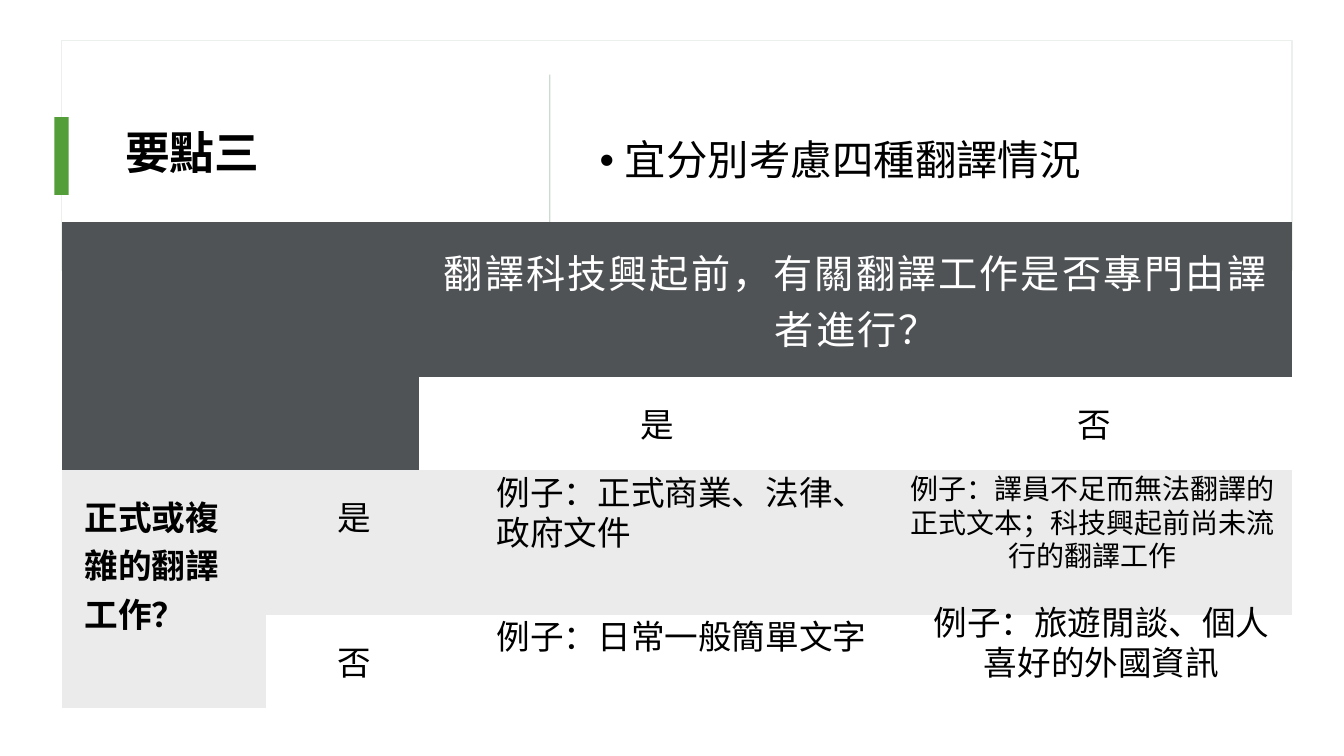
from lxml import etree
from pptx import Presentation
from pptx.dml.color import RGBColor
from pptx.enum.shapes import MSO_SHAPE
from pptx.enum.text import MSO_ANCHOR, MSO_AUTO_SIZE, PP_ALIGN
from pptx.oxml.ns import qn
from pptx.util import Cm, Pt

RECTANGLE = MSO_SHAPE.RECTANGLE
TOP, MIDDLE = MSO_ANCHOR.TOP, MSO_ANCHOR.MIDDLE
GROW = MSO_AUTO_SIZE.SHAPE_TO_FIT_TEXT
FIXED = MSO_AUTO_SIZE.NONE
LEFT, CENTER = PP_ALIGN.LEFT, PP_ALIGN.CENTER

WHITE = RGBColor(0xFF, 0xFF, 0xFF)
BLACK = RGBColor(0, 0, 0)
GREEN = RGBColor(0x54, 0x9E, 0x39)
SLATE = RGBColor(0x50, 0x53, 0x56)
PALE = RGBColor(0xEB, 0xEB, 0xEB)
CARD_EDGE = RGBColor(0xEB, 0xF0, 0xED)
DIVIDER = RGBColor(0xCD, 0xDB, 0xD3)
FONT = "Roboto"
PLAIN_TABLE = "{2D5ABB26-0587-4C30-8999-92F81FD0307C}"

HEADER_BOX = (1.55, 1.02, 31.01, 5.79)
MATRIX_BOX = (1.55, 5.59, 31.01, 12.25)


def write(frame, text, size=24, color=BLACK, bold=False, align=LEFT, indent=0,
          hanging=0, bullet=None, line_spacing=None, tracking=0, east_asian=None):
    """Fill a text frame with one formatted paragraph; indents are in cm."""
    frame.word_wrap = True
    paragraph = frame.paragraphs[0]
    paragraph.alignment = align
    if line_spacing:
        paragraph.line_spacing = line_spacing
    properties = paragraph._p.get_or_add_pPr()
    properties.set("marL", str(Cm(indent)))
    properties.set("indent", str(-Cm(hanging)))
    if bullet:
        etree.SubElement(properties, qn("a:buFont")).set("typeface", "Arial")
        etree.SubElement(properties, qn("a:buChar")).set("char", bullet)
    run = paragraph.add_run()
    run.text = text
    font = run.font
    font.name, font.size, font.bold = FONT, Pt(size), bold
    font.color.rgb = color
    if tracking:
        run._r.get_or_add_rPr().set("spc", str(round(tracking * 100)))
    if east_asian:
        latin = run._r.get_or_add_rPr().find(qn("a:latin"))
        typeface = etree.Element(qn("a:ea"))
        typeface.set("typeface", east_asian)
        latin.addnext(typeface)


def add_block(slide, left, top, width, height, fill, edge=None):
    block = slide.shapes.add_shape(RECTANGLE, Cm(left), Cm(top), Cm(width), Cm(height))
    block.shadow.inherit = False
    block.fill.solid()
    block.fill.fore_color.rgb = fill
    if edge:
        block.line.color.rgb = edge
        block.line.width = Pt(1)
    else:
        block.line.fill.background()


def add_text(slide, left, top, width, height, text, anchor=TOP, auto_size=GROW, **text_format):
    frame = slide.shapes.add_textbox(Cm(left), Cm(top), Cm(width), Cm(height)).text_frame
    frame.vertical_anchor = anchor
    write(frame, text, **text_format)
    frame.auto_size = auto_size


def add_header(slide, box):
    left, top, width, height = box
    add_block(slide, *box, WHITE, CARD_EDGE)
    add_block(slide, left - 0.18, top + 1.93, 0.36, 1.96, GREEN)
    add_block(slide, left + 12.29, top + 0.86, 0.03, 4.06, DIVIDER)

    title = slide.shapes.title
    title.left, title.top = Cm(left + 1.35), Cm(top + 0.61)
    title.width, title.height = Cm(9.83), Cm(4.57)
    title.text_frame.vertical_anchor = MIDDLE
    write(title.text_frame, "要點三", size=32, bold=True, line_spacing=0.9)
    # Later shapes would cover the title, so it moves to the front.
    slide.shapes._spTree.append(title._element)

    add_text(slide, left + 13.31, top + 0.79, width - 14.35, 4.57,
             "宜分別考慮四種翻譯情況", anchor=MIDDLE, auto_size=FIXED, size=29.6,
             indent=0.64, hanging=0.64, bullet="•", line_spacing=0.9)


def add_matrix(slide, box):
    """Two-by-two matrix of translation situations with its headings."""
    left, top, width, height = box
    frame = slide.shapes.add_table(4, 4, Cm(left), Cm(top), Cm(width), Cm(height))
    table = frame.table
    table._tbl.tblPr.find(qn("a:tableStyleId")).text = PLAIN_TABLE
    for column, column_width in zip(table.columns, (5.16, 3.84, 10.77, 11.24)):
        column.width = Cm(column_width)
    for row, row_height in zip(table.rows, (3.91, 2.34, 3.66, 2.34)):
        row.height = Cm(row_height)

    fills = ((SLATE,) * 4,
             (SLATE, SLATE, WHITE, WHITE),
             (PALE,) * 4,
             (PALE, WHITE, WHITE, WHITE))
    for r, row_fills in enumerate(fills):
        for c, fill in enumerate(row_fills):
            cell = table.cell(r, c)
            cell.fill.solid()
            cell.fill.fore_color.rgb = fill
    for first, last in (((0, 0), (1, 1)), ((0, 2), (0, 3)), ((2, 0), (3, 0))):
        table.cell(*first).merge(table.cell(*last))

    headings = (
        (0, 2, "翻譯科技興起前，有關翻譯工作是否專門由譯者進行？",
         dict(size=28, color=WHITE, align=CENTER, indent=0.05, tracking=1.5)),
        (1, 2, "是", dict(align=CENTER, indent=1.27)),
        (1, 3, "否", dict(align=CENTER, indent=1.27)),
        (2, 0, "正式或複雜的翻譯工作？", dict(bold=True, indent=0.05)),
        (2, 1, "是", dict(indent=1.27)),
        (3, 1, "否", dict(indent=1.27)),
    )
    for r, c, text, text_format in headings:
        cell = table.cell(r, c)
        cell.margin_left = cell.margin_right = Cm(0.53)
        cell.margin_top = cell.margin_bottom = Cm(0.53)
        write(cell.text_frame, text, **text_format)


def add_examples(slide, box):
    """Examples laid over the four answer cells of the matrix."""
    left, top, _, _ = box
    examples = (
        (10.67, 6.17, 9.42, 2.31, "例子：正式商業、法律、政府文件", 24, LEFT),
        (10.52, 9.8, 10.16, 1.27, "例子：日常一般簡單文字", 24, CENTER),
        (21.46, 9.45, 9.45, 2.31, "例子：旅遊閒談、個人喜好的外國資訊", 24, CENTER),
        (20.88, 6.17, 10.16, 2.82,
         "例子：譯員不足而無法翻譯的正式文本；科技興起前尚未流行的翻譯工作", 20, CENTER),
    )
    for x, y, width, height, text, size, align in examples:
        add_text(slide, left + x, top + y, width, height, text, size=size,
                 align=align, indent=0.05, east_asian=FONT)


def main():
    presentation = Presentation()
    presentation.slide_width, presentation.slide_height = Cm(33.87), Cm(19.05)
    slide = presentation.slides.add_slide(presentation.slide_layouts[5])
    slide.background.fill.solid()
    slide.background.fill.fore_color.rgb = WHITE
    add_header(slide, HEADER_BOX)
    add_matrix(slide, MATRIX_BOX)
    add_examples(slide, MATRIX_BOX)
    presentation.save("out.pptx")


if __name__ == "__main__":
    main()
